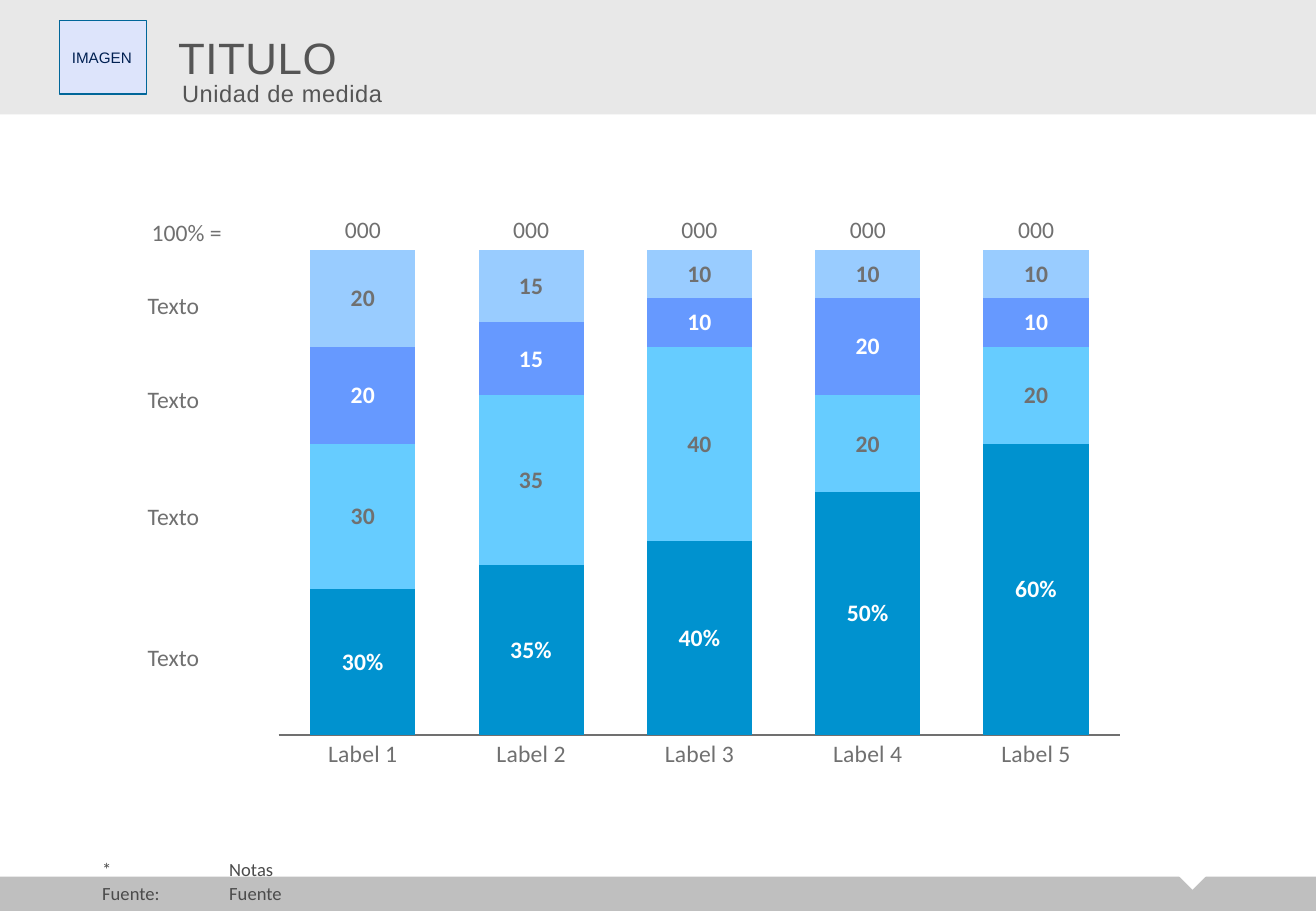
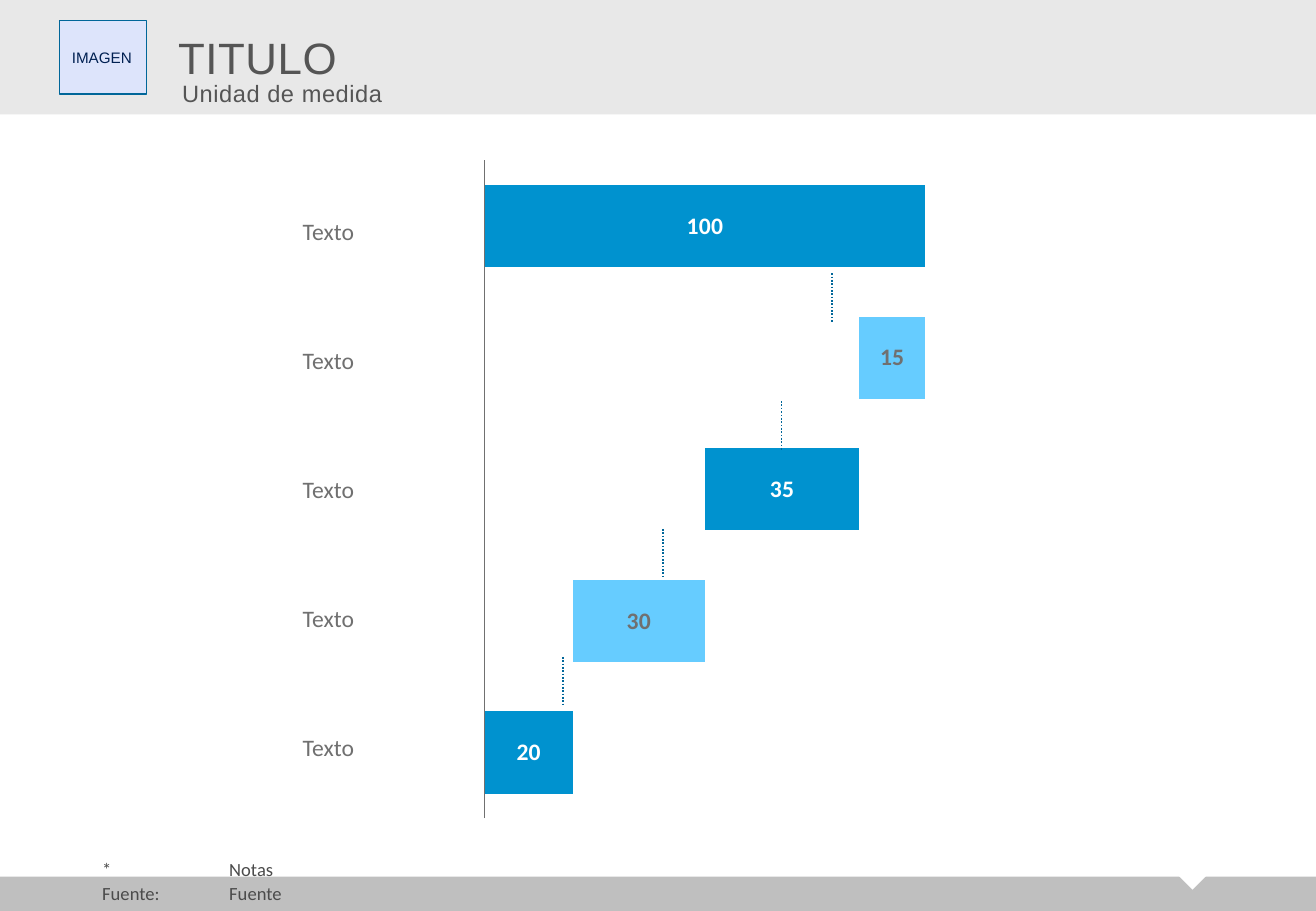
from collections import namedtuple

from lxml import etree
from pptx import Presentation
from pptx.chart.data import CategoryChartData
from pptx.dml.color import RGBColor
from pptx.enum.chart import XL_CHART_TYPE, XL_TICK_LABEL_POSITION, XL_TICK_MARK
from pptx.enum.dml import MSO_LINE
from pptx.enum.shapes import MSO_CONNECTOR, MSO_SHAPE
from pptx.enum.text import MSO_ANCHOR, MSO_AUTO_SIZE, PP_ALIGN
from pptx.oxml import parse_xml
from pptx.oxml.ns import nsdecls, qn
from pptx.util import Inches, Pt

RECT, WEDGE = MSO_SHAPE.RECTANGLE, MSO_SHAPE.FLOWCHART_MERGE
LEFT, CENTER = PP_ALIGN.LEFT, PP_ALIGN.CENTER
TOP, MIDDLE, BOTTOM = MSO_ANCHOR.TOP, MSO_ANCHOR.MIDDLE, MSO_ANCHOR.BOTTOM
FIXED = MSO_AUTO_SIZE.NONE
COLUMN, BAR = XL_CHART_TYPE.COLUMN_STACKED_100, XL_CHART_TYPE.BAR_STACKED
NO_LABEL, NO_TICK = XL_TICK_LABEL_POSITION.NONE, XL_TICK_MARK.NONE
DOTS, STRAIGHT = MSO_LINE.ROUND_DOT, MSO_CONNECTOR.STRAIGHT

WHITE = RGBColor(0xFF, 0xFF, 0xFF)
BAND = RGBColor(0xE8, 0xE8, 0xE8)
FOOT = RGBColor(0xBF, 0xBF, 0xBF)
TITLE = RGBColor(0x55, 0x55, 0x55)
GRAY = RGBColor(0x70, 0x70, 0x70)
DARK = RGBColor(0x4B, 0x4B, 0x4B)
NAVY = RGBColor(0x00, 0x20, 0x52)
PALE = RGBColor(0xDD, 0xE4, 0xFB)
TEAL = RGBColor(0x00, 0x66, 0x99)
BLUE = RGBColor(0x00, 0x92, 0xCF)
SKY = RGBColor(0x66, 0xCC, 0xFF)
IRIS = RGBColor(0x66, 0x99, 0xFF)
MIST = RGBColor(0x99, 0xCC, 0xFF)

# Grid of 130 columns by 90 rows, twelve cells to the inch
COLS, ROWS = 130, 90
Box = namedtuple("Box", "x y w h")
HEAD = Box(0, 0, COLS, 11.3)
BASE = Box(0, 86.6, COLS, 3.4)
STACK = Box(13, 21.2, 99.4, 55.7)
FALL = Box(29.9, 14.5, 71.3, 67.7)
LINE = 2.9  # height of one text line


def cell(count):
    return Inches(count / 12)


def part(box, x, y, w, h):
    return Box(box.x + x, box.y + y, w, h)


def place(box):
    return [cell(side) for side in box]


def style(font, size, color, face="Calibri", bold=False):
    font.size, font.name, font.bold = Pt(size), face, bold
    font.color.rgb = color


def write(frame, text, size, color, face="Calibri", align=LEFT, anchor=TOP,
          inset=0, track=None):
    frame.text = text
    frame.word_wrap = True
    frame.auto_size = FIXED
    frame.vertical_anchor = anchor
    frame.margin_left = cell(inset)
    frame.margin_right = frame.margin_top = frame.margin_bottom = 0
    for para in frame.paragraphs:
        para.alignment = align
        for run in para.runs:
            style(run.font, size, color, face)
            if track:
                run.font._element.set("spc", str(track))


def label(slide, box, text, size=14, color=GRAY, **more):
    frame = slide.shapes.add_textbox(*place(box)).text_frame
    write(frame, text, size, color, **more)
    return frame


def block(slide, kind, box, fill):
    shape = slide.shapes.add_shape(kind, *place(box))
    shape.shadow.inherit = False
    shape.fill.solid()
    shape.fill.fore_color.rgb = fill
    shape.line.fill.background()
    return shape


def header(slide, box):
    # Title band
    title = slide.shapes.title
    title.left, title.top, title.width, title.height = place(box)
    title.fill.solid()
    title.fill.fore_color.rgb = BAND
    write(title.text_frame, "TITULO", 26, TITLE, "Arial", anchor=MIDDLE,
          inset=17.6, track=30)
    # Image frame
    frame = block(slide, RECT, part(box, 5.9, 2, 8.6, 7.3), PALE)
    frame.line.color.rgb, frame.line.width = TEAL, Pt(0.75)
    write(frame.text_frame, "IMAGEN", 9, NAVY, "Arial", anchor=MIDDLE,
          inset=1.2)
    # Unit of measure
    label(slide, part(box, 18, 7.8, 108, LINE), "Unidad de medida",
          color=TITLE, face="Arial", track=30)


def footer(slide, box):
    block(slide, RECT, box, FOOT)
    block(slide, WEDGE, part(box, 116.4, -0.1, 2.8, 1.4), WHITE)
    # Notes and source, with a tab after the first word
    notes = label(slide, part(box, 10.1, -1.8, 115, 4.6),
                  "*\tNotas\nFuente:\tFuente", 11, DARK, anchor=BOTTOM)
    for para in notes.paragraphs:
        para.line_spacing, para.space_after = 0.95, Pt(2)
        tabs = etree.SubElement(para._p.get_or_add_pPr(), qn("a:tabLst"))
        etree.SubElement(tabs, qn("a:tab"), pos=str(cell(12.55)), algn="l")


def draw(slide, box, kind, names, series, high):
    data = CategoryChartData()
    data.categories = names
    for pos, values in enumerate(series, 1):
        data.add_series(f"Series {pos}", values)
    chart = slide.shapes.add_chart(kind, *place(box), data).chart
    chart.has_legend = chart.has_title = False
    style(chart.font, 14, GRAY)
    plot = chart.plots[0]
    plot.gap_width, plot.overlap = 60, 100
    plot.vary_by_categories = False
    # Axes
    chart.value_axis.visible = False
    chart.value_axis.has_major_gridlines = False
    axis = chart.category_axis
    axis.major_tick_mark = axis.minor_tick_mark = NO_TICK
    axis.format.line.color.rgb, axis.format.line.width = GRAY, Pt(0.75)
    # Inner plot area, as shares of the chart
    sides = "".join(f'<c:{key} val="{val}"/>' for key, val in
                    (("x", 0.02), ("y", 0.02), ("w", 0.96), ("h", high)))
    area = chart._chartSpace.chart.plotArea
    for old in area.findall(qn("c:layout")):
        area.remove(old)
    area.insert(0, parse_xml(
        f'<c:layout {nsdecls("c")}><c:manualLayout>'
        '<c:layoutTarget val="inner"/><c:xMode val="edge"/>'
        f'<c:yMode val="edge"/>{sides}</c:manualLayout></c:layout>'))
    return chart


def paint(item, color):
    item.format.fill.solid()
    item.format.fill.fore_color.rgb = color


def values(series, color):
    series.data_labels.show_value = True
    style(series.data_labels.font, 14, color, bold=True)


def stack(slide, box):
    names = [f"Label {i}" for i in range(1, 6)]
    rows = [(30, 35, 40, 50, 60), (30, 35, 40, 20, 20),
            (20, 15, 10, 20, 10), (20, 15, 10, 10, 10)]
    inks = [(BLUE, WHITE), (SKY, GRAY), (IRIS, WHITE), (MIST, GRAY)]
    spot = part(box, 12.8, 2.4, 86.6, 53.3)
    chart = draw(slide, spot, COLUMN, names, rows, 0.9)
    for series, (fill, ink) in zip(chart.plots[0].series, inks):
        paint(series, fill)
        values(series, ink)
    first = chart.plots[0].series[0].data_labels
    first.number_format = 'General"%"'
    first.number_format_is_linked = False
    # Totals over the columns
    step = spot.w * 0.96 / len(names)
    for i in range(len(names)):
        mid = 12.8 + spot.w * 0.02 + (i + 0.5) * step
        label(slide, part(box, mid - 3, 0, 6, LINE), "000", align=CENTER)
    label(slide, part(box, 0, 0.3, 10.9, LINE), "100% =", align=CENTER)
    # Row names
    for y in (7.5, 16.8, 28.4, 42.3):
        label(slide, part(box, 1.6, y, 14.9, LINE), "Texto")


def fall(slide, box):
    rows = [(None, 20, 50, 85, None), (20, 30, 35, 15, 100)]
    chart = draw(slide, part(box, 16.9, 0, 54.4, box.h), BAR,
                 list("12345"), rows, 0.96)
    chart.value_axis.minimum_scale = 0
    chart.value_axis.maximum_scale = 120
    chart.category_axis.tick_label_position = NO_LABEL
    blank, bars = chart.plots[0].series
    blank.format.fill.background()
    paint(bars, SKY)
    values(bars, GRAY)
    for i in range(0, 5, 2):
        paint(bars.points[i], BLUE)
        style(bars.points[i].data_label.font, 14, WHITE, bold=True)
    for i in (1, 3):
        paint(bars.points[i], SKY)
    # Dotted links between bars
    for i, x in enumerate((52.3, 47.3, 35.6, 25.7)):
        spot = part(box, x, 12.5 + 12.63 * i, 0, 4.9)
        link = slide.shapes.add_connector(
            STRAIGHT, cell(spot.x), cell(spot.y),
            cell(spot.x), cell(spot.y + spot.h))
        link.line.color.rgb, link.line.width = TEAL, Pt(1)
        link.line.dash_style = DOTS
        etree.SubElement(link._element.spPr, qn("a:effectLst"))
    # Row names
    for i in range(5):
        label(slide, part(box, 0, 6.9 + 12.75 * i, 17.6, LINE), "Texto")


def main():
    deck = Presentation()
    deck.slide_width, deck.slide_height = cell(COLS), cell(ROWS)
    for body, box in ((stack, STACK), (fall, FALL)):
        slide = deck.slides.add_slide(deck.slide_layouts[5])
        header(slide, HEAD)
        footer(slide, BASE)
        body(slide, box)
    deck.save("out.pptx")


if __name__ == "__main__":
    main()
